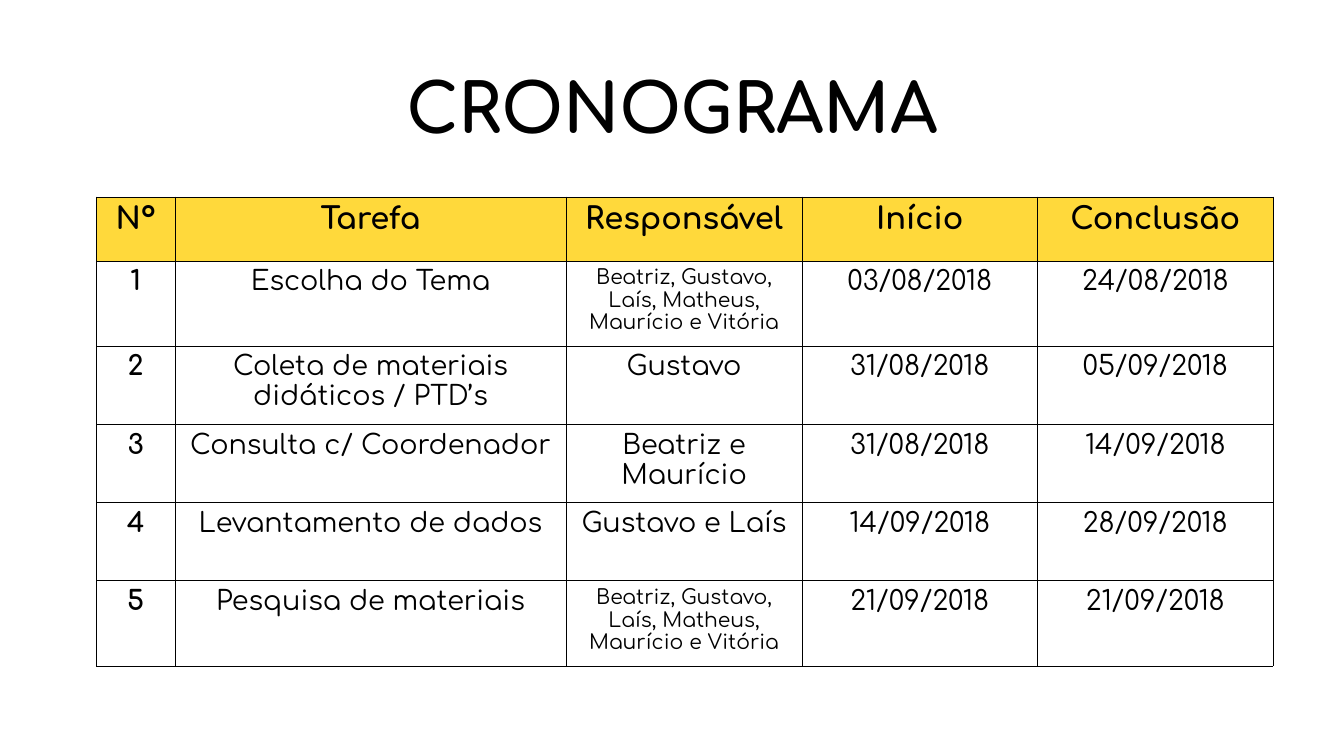
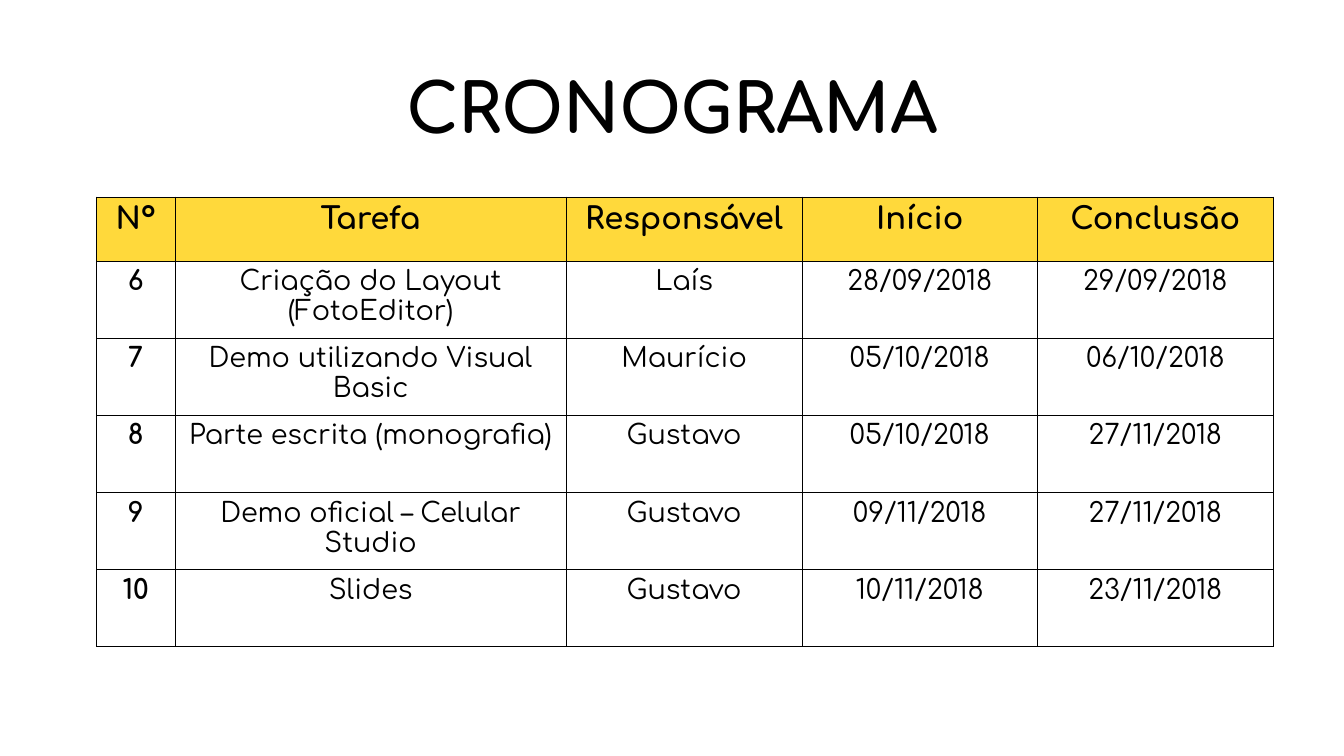
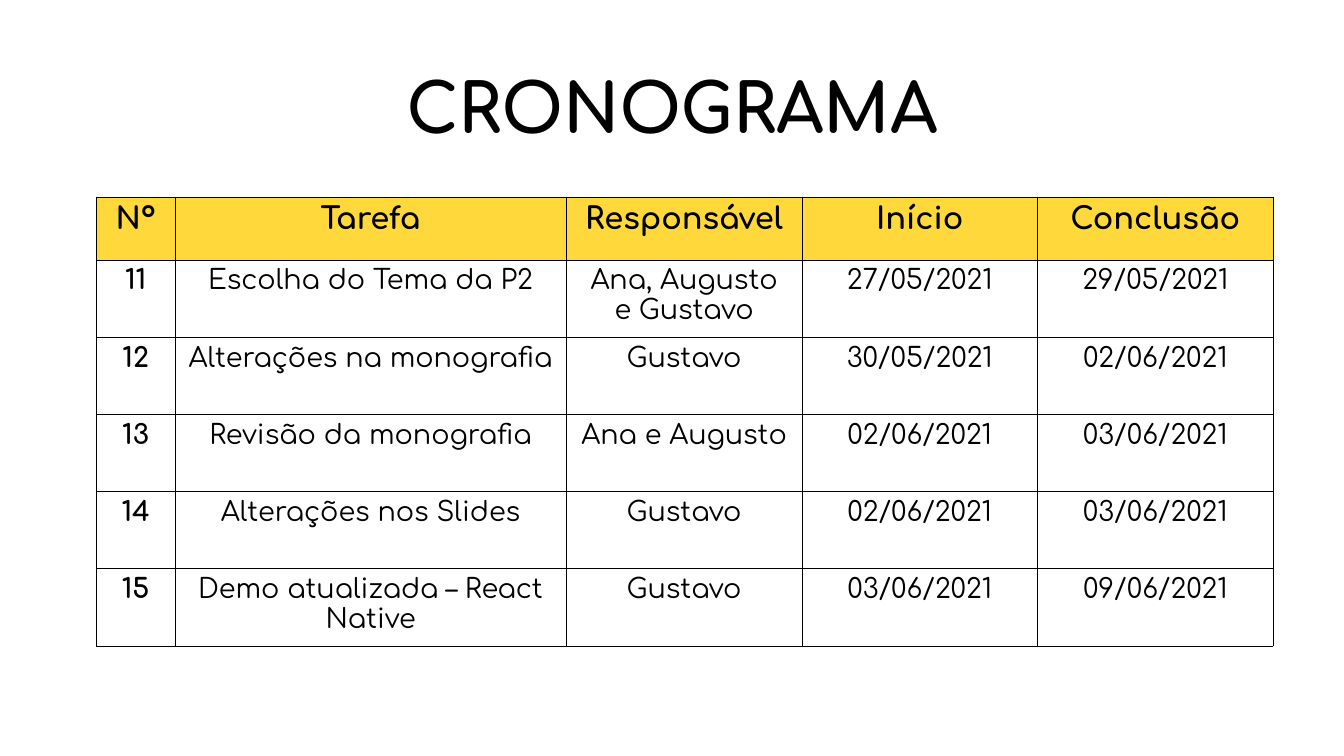
import lxml.etree
import pptx
import pptx.dml.color
import pptx.enum.text
import pptx.oxml
import pptx.oxml.ns
import pptx.util

Pt = pptx.util.Pt

# Content
TITLE = "CRONOGRAMA"
HEADINGS = ("Nº", "Tarefa", "Responsável", "Início", "Conclusão")
WHOLE_TEAM = "Beatriz, Gustavo, Laís, Matheus, Maurício e Vitória"

# Each schedule: header height, task row height, tasks (numbered on from slide to slide)
SCHEDULES = [
    (37.8, 46.16, [
        ("Escolha do Tema", WHOLE_TEAM, "03/08/2018", "24/08/2018"),
        ("Coleta de materiais didáticos / PTD’s", "Gustavo", "31/08/2018", "05/09/2018"),
        ("Consulta c/ Coordenador", "Beatriz e Maurício", "31/08/2018", "14/09/2018"),
        ("Levantamento de dados", "Gustavo e Laís", "14/09/2018", "28/09/2018"),
        ("Pesquisa de materiais", WHOLE_TEAM, "21/09/2018", "21/09/2018"),
    ]),
    (37.8, 45.5, [
        ("Criação do Layout (FotoEditor)", "Laís", "28/09/2018", "29/09/2018"),
        ("Demo utilizando Visual Basic", "Maurício", "05/10/2018", "06/10/2018"),
        ("Parte escrita (monografia)", "Gustavo", "05/10/2018", "27/11/2018"),
        ("Demo oficial – Celular Studio", "Gustavo", "09/11/2018", "27/11/2018"),
        ("Slides", "Gustavo", "10/11/2018", "23/11/2018"),
    ]),
    (37.4, 45.5, [
        ("Escolha do Tema da P2", "Ana, Augusto e Gustavo", "27/05/2021", "29/05/2021"),
        ("Alterações na monografia", "Gustavo", "30/05/2021", "02/06/2021"),
        ("Revisão da monografia", "Ana e Augusto", "02/06/2021", "03/06/2021"),
        ("Alterações nos Slides", "Gustavo", "02/06/2021", "03/06/2021"),
        ("Demo atualizada – React Native", "Gustavo", "03/06/2021", "09/06/2021"),
    ]),
]


# Shared look
class Theme:
    font = "Comfortaa"
    ink = "000000"
    paper = "FFFFFF"
    header = "FFD93B"
    title_size = 40
    header_size = 18
    body_size = 16
    small_size = 12
    border = 0.06


SLIDE_SIZE = (793.44, 446.4)
TITLE_BOX = (39.6, 25.92, 714.24, 74.16)
TABLE_LEFT, TABLE_TOP = 56.9, 116.1
COLUMN_WIDTHS = (46.4, 231.1, 139.1, 139.1, 139.1)


def color(value):
    return pptx.dml.color.RGBColor.from_string(value)


def write(frame, text, size, bold):
    paragraph = frame.paragraphs[0]
    paragraph.alignment = pptx.enum.text.PP_ALIGN.CENTER
    run = paragraph.add_run()
    run.text = text
    run.font.name = Theme.font
    run.font.size = Pt(size)
    run.font.bold = bold
    run.font.color.rgb = color(Theme.ink)


def add_title(slide):
    frame = slide.shapes.add_textbox(*map(Pt, TITLE_BOX)).text_frame
    frame.word_wrap = True
    frame.vertical_anchor = pptx.enum.text.MSO_ANCHOR.MIDDLE
    frame.margin_left = frame.margin_right = frame.margin_top = frame.margin_bottom = 0
    write(frame, TITLE, Theme.title_size, True)


def outline(cell):
    properties = cell._tc.get_or_add_tcPr()
    for side in ("a:lnL", "a:lnR", "a:lnT", "a:lnB"):
        line = lxml.etree.SubElement(properties, pptx.oxml.ns.qn(side), w=str(Pt(Theme.border)))
        fill = lxml.etree.SubElement(line, pptx.oxml.ns.qn("a:solidFill"))
        lxml.etree.SubElement(fill, pptx.oxml.ns.qn("a:srgbClr"), val=Theme.ink)


def fill_cell(cell, text, is_header, is_number):
    cell.margin_left = cell.margin_right = Pt(7.2)
    cell.margin_top = cell.margin_bottom = Pt(3.6)
    outline(cell)
    if is_header:
        cell.fill.solid()
        cell.fill.fore_color.rgb = color(Theme.header)
        size = Theme.header_size
    else:
        cell.fill.background()
        size = Theme.small_size if text == WHOLE_TEAM else Theme.body_size
    write(cell.text_frame, text, size, is_header or is_number)


def add_schedule(slide, header_height, task_height, rows):
    heights = [header_height] + [task_height] * (len(rows) - 1)
    table = slide.shapes.add_table(
        len(rows), len(HEADINGS), Pt(TABLE_LEFT), Pt(TABLE_TOP),
        Pt(sum(COLUMN_WIDTHS)), Pt(sum(heights))).table
    table.horz_banding = False
    for column, width in zip(table.columns, COLUMN_WIDTHS):
        column.width = Pt(width)
    for r, (row, height) in enumerate(zip(rows, heights)):
        table.rows[r].height = Pt(height)
        for c, text in enumerate(row):
            fill_cell(table.cell(r, c), text, r == 0, c == 0)


def main():
    deck = pptx.Presentation()
    deck.slide_width, deck.slide_height = map(Pt, SLIDE_SIZE)
    blank = deck.slide_layouts[6]
    background = deck.slide_master.background.fill
    background.solid()
    background.fore_color.rgb = color(Theme.paper)

    next_number = 1
    for header_height, task_height, tasks in SCHEDULES:
        slide = deck.slides.add_slide(blank)
        add_title(slide)
        rows = [HEADINGS] + [(str(n), *task) for n, task in enumerate(tasks, next_number)]
        add_schedule(slide, header_height, task_height, rows)
        next_number += len(tasks)

    deck.save("out.pptx")


if __name__ == "__main__":
    main()
